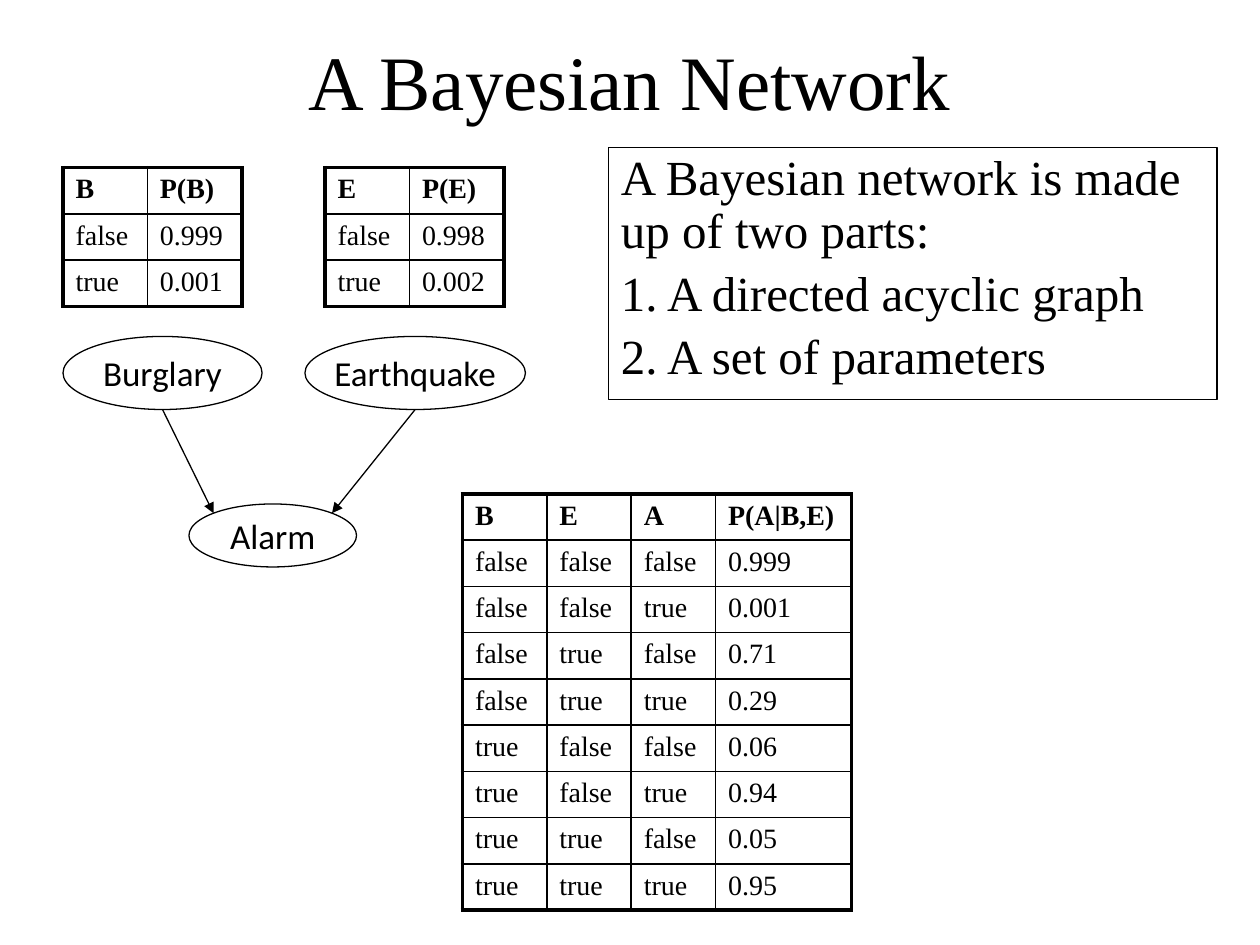
import math
from lxml import etree
from pptx import Presentation
from pptx import util as u
from pptx.dml.color import RGBColor
from pptx.enum import shapes, text
from pptx.oxml import ns

BLACK = RGBColor(0, 0, 0)
SERIF, SANS = "Times New Roman", "Calibri"
THIN, THICK = 1, 2.25
ROW_HEIGHT = 1.1 / 3

TITLE = "A Bayesian Network"
INTRO = "A Bayesian network is made up of two parts:"
PARTS = [" A directed acyclic graph", " A set of parameters"]

NODES = {
    "Alarm": (1.5, 4, 1.33, 0.5),
    "Burglary": (0.5, 2.67, 1.58, 0.58),
    "Earthquake": (2.42, 2.67, 1.75, 0.58),
}
EDGES = [("Burglary", "Alarm"), ("Earthquake", "Alarm")]

TABLES = [
    (0.5, 1.33, (0.67, 0.75),
     [("B", "P(B)"), ("false", "0.999"), ("true", "0.001")]),
    (3.67, 3.92, (0.67, 0.67, 0.67, 1.08), [
        ("B", "E", "A", "P(A|B,E)"),
        ("false", "false", "false", "0.999"),
        ("false", "false", "true", "0.001"),
        ("false", "true", "false", "0.71"),
        ("false", "true", "true", "0.29"),
        ("true", "false", "false", "0.06"),
        ("true", "false", "true", "0.94"),
        ("true", "true", "false", "0.05"),
        ("true", "true", "true", "0.95"),
    ]),
    (2.58, 1.33, (0.67, 0.75),
     [("E", "P(E)"), ("false", "0.998"), ("true", "0.002")]),
]


def inches(*lengths):
    return [u.Inches(length) for length in lengths]


def style(para, size, font, bold=False):
    for span in para.runs:
        span.font.size = u.Pt(size)
        span.font.name = font
        span.font.bold = bold
        span.font.color.rgb = BLACK


def outline(shape):
    shape.line.color.rgb = BLACK
    shape.line.width = u.Pt(0.75)


def add_title(slide):
    title = slide.shapes.title
    title.left, title.top, title.width, title.height = inches(0.75, 0.17, 8.5, 0.92)
    frame = title.text_frame
    frame.text = TITLE
    frame.vertical_anchor = text.MSO_ANCHOR.MIDDLE
    frame.paragraphs[0].alignment = text.PP_ALIGN.CENTER
    style(frame.paragraphs[0], 44, SERIF)


def add_summary(slide):
    box = slide.shapes.add_textbox(*inches(4.83, 1.17, 4.83, 2))
    outline(box)
    frame = box.text_frame
    frame.word_wrap = True
    frame.text = "\n".join([INTRO] + PARTS)
    for index, para in enumerate(frame.paragraphs):
        para.line_spacing = 0.9
        para.space_before = u.Pt(5.6)
        style(para, 28, SERIF)
        if index:
            props = para._p.get_or_add_pPr()
            props.set("marL", "0")
            props.set("indent", "0")
            etree.SubElement(props, ns.qn("a:buFont"), typeface="+mj-lt")
            etree.SubElement(props, ns.qn("a:buAutoNum"), type="arabicPeriod")


def add_node(slide, name, place):
    node = slide.shapes.add_shape(shapes.MSO_SHAPE.OVAL, *inches(*place))
    node.shadow.inherit = False
    node.fill.background()
    outline(node)
    frame = node.text_frame
    frame.text = name
    frame.word_wrap = False
    frame.vertical_anchor = text.MSO_ANCHOR.MIDDLE
    frame.paragraphs[0].alignment = text.PP_ALIGN.CENTER
    style(frame.paragraphs[0], 20, SANS)


def add_edge(slide, parent, child):
    left, top, width, height = NODES[parent]
    start_x, start_y = left + width / 2, top + height
    left, top, width, height = NODES[child]
    center_x, center_y = left + width / 2, top + height / 2
    side = math.copysign(math.sqrt(0.5), start_x - center_x)
    end_x = center_x + side * width / 2
    end_y = center_y - math.sqrt(0.5) * height / 2
    edge = slide.shapes.add_connector(
        shapes.MSO_CONNECTOR.STRAIGHT, *inches(start_x, start_y, end_x, end_y))
    outline(edge)
    etree.SubElement(edge.line._get_or_add_ln(), ns.qn("a:tailEnd"), type="triangle")
    etree.SubElement(edge._element.spPr, ns.qn("a:effectLst"))


def set_borders(cell, widths):
    props = cell._tc.get_or_add_tcPr()
    for index, (side, width) in enumerate(widths.items()):
        border = etree.Element(ns.qn("a:ln" + side), w=str(u.Pt(width)))
        fill = etree.SubElement(border, ns.qn("a:solidFill"))
        etree.SubElement(fill, ns.qn("a:srgbClr"), val=str(BLACK))
        props.insert(index, border)


def add_probabilities(slide, left, top, columns, rows):
    size = sum(columns), ROW_HEIGHT * len(rows)
    frame = slide.shapes.add_table(len(rows), len(columns), *inches(left, top, *size))
    table = frame.table
    table.first_row = table.horz_banding = False
    for column, width in zip(table.columns, columns):
        column.width = u.Inches(width)
    last_row, last_column = len(rows) - 1, len(columns) - 1
    for r, row in enumerate(rows):
        table.rows[r].height = u.Inches(ROW_HEIGHT)
        for c, value in enumerate(row):
            cell = table.cell(r, c)
            cell.text = value
            cell.fill.background()
            para = cell.text_frame.paragraphs[0]
            para.space_before = u.Pt(3.2)
            style(para, 16, SERIF, bold=r == 0)
            set_borders(cell, {
                "L": THICK if c == 0 else THIN,
                "R": THICK if c == last_column else THIN,
                "T": THICK if r == 0 else THIN,
                "B": THICK if r == last_row else THIN,
            })


def main():
    deck = Presentation()
    deck.slide_width, deck.slide_height = inches(10, 7.5)
    slide = deck.slides.add_slide(deck.slide_layouts[5])
    add_title(slide)
    add_summary(slide)
    for name, place in NODES.items():
        add_node(slide, name, place)
    for parent, child in EDGES:
        add_edge(slide, parent, child)
    for table in TABLES:
        add_probabilities(slide, *table)
    deck.save("out.pptx")


if __name__ == "__main__":
    main()
